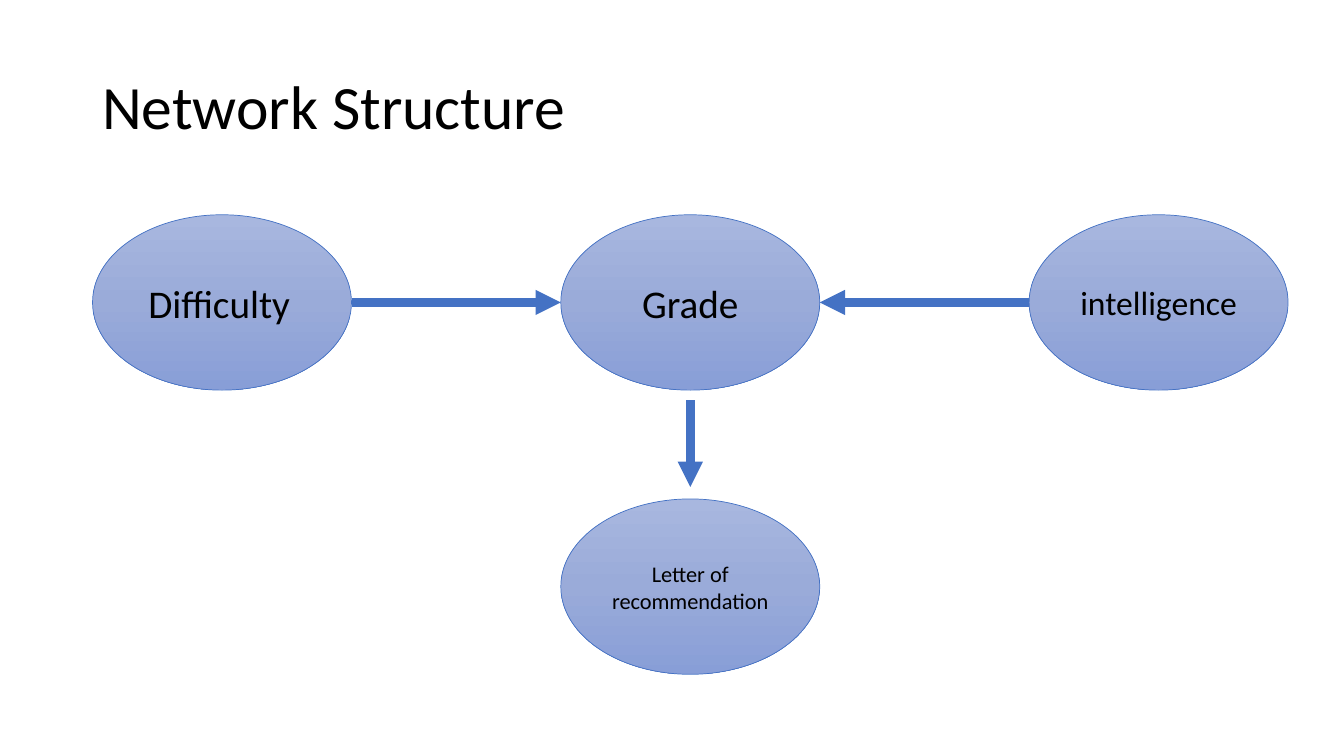
import copy

import pptx
import pptx.dml.color
import pptx.enum.shapes
import pptx.enum.text
import pptx.oxml
import pptx.oxml.ns
import pptx.util

Pt = pptx.util.Pt

FONT = "Calibri"
BLACK = "000000"
BLUE = "4472C4"
NODE_GRADIENT = ((0, "A8B7DF"), (0.5, "9AABD9"), (1, "889ED7"))

# Node grid: three columns, two rows
NODE_WIDTH, NODE_HEIGHT = 185, 125.3
LEFT, COLUMN_STEP = 66.1, 334.5
TOP, ROW_STEP = 153.4, 203
ARROW_GAP = 7.2


def color(hex_string):
    return pptx.dml.color.RGBColor.from_string(hex_string)


def set_font(font, size):
    font.name = FONT
    font.size = Pt(size)
    font.color.rgb = color(BLACK)


def add_title(slide, text):
    box = slide.shapes.add_textbox(Pt(66), Pt(26), Pt(828), Pt(104.4))
    frame = box.text_frame
    frame.word_wrap = True
    frame.vertical_anchor = pptx.enum.text.MSO_ANCHOR.MIDDLE
    paragraph = frame.paragraphs[0]
    paragraph.text = text
    paragraph.line_spacing = 0.9
    set_font(paragraph.font, 44)


def fill_gradient(shape):
    shape.fill.gradient()
    shape.fill.gradient_angle = 270  # counter-clockwise, so top to bottom
    stop_list = shape._element.spPr.find(".//" + pptx.oxml.ns.qn("a:gsLst"))
    stop_list.insert(1, copy.deepcopy(stop_list[0]))
    for stop, (position, hex_string) in zip(shape.fill.gradient_stops, NODE_GRADIENT):
        stop.position = position
        stop.color.rgb = color(hex_string)


def add_node(slide, column, row, *runs):
    """Add an ellipse labelled with (text, size) runs."""
    shape = slide.shapes.add_shape(
        pptx.enum.shapes.MSO_SHAPE.OVAL,
        Pt(LEFT + column * COLUMN_STEP), Pt(TOP + row * ROW_STEP),
        Pt(NODE_WIDTH), Pt(NODE_HEIGHT))
    shape.shadow.inherit = False
    fill_gradient(shape)
    shape.line.color.rgb = color(BLUE)
    shape.line.width = Pt(0.5)
    shape.text_frame.word_wrap = True
    shape.text_frame.vertical_anchor = pptx.enum.text.MSO_ANCHOR.MIDDLE
    paragraph = shape.text_frame.paragraphs[0]
    paragraph.alignment = pptx.enum.text.PP_ALIGN.CENTER
    for text, size in runs:
        run = paragraph.add_run()
        run.text = text
        set_font(run.font, size)


def add_arrow(slide, start, end):
    arrow = slide.shapes.add_connector(
        pptx.enum.shapes.MSO_CONNECTOR.STRAIGHT,
        *(Pt(length) for length in (*start, *end)))
    arrow.line.color.rgb = color(BLUE)
    arrow.line.width = Pt(6)
    head = pptx.oxml.ns.qn("a:tailEnd")
    line = arrow.line._get_or_add_ln()
    line.append(line.makeelement(head, {"type": "triangle"}))
    properties = arrow._element.spPr
    properties.append(properties.makeelement(pptx.oxml.ns.qn("a:effectLst"), {}))


def main():
    presentation = pptx.Presentation()
    presentation.slide_width = Pt(960)
    presentation.slide_height = Pt(540)
    slide = presentation.slides.add_slide(presentation.slide_layouts[6])

    add_title(slide, "Network Structure")

    # Network nodes
    add_node(slide, 0, 0, ("Difficulty", 28), (" ", 18))
    add_node(slide, 2, 0, ("intelligence", 24))
    add_node(slide, 1, 0, ("Grade", 28))
    add_node(slide, 1, 1, ("Letter of recommendation", 16))

    # Dependencies between nodes
    middle = TOP + NODE_HEIGHT / 2
    grade_left = LEFT + COLUMN_STEP
    grade_right = grade_left + NODE_WIDTH
    grade_center = grade_left + NODE_WIDTH / 2
    add_arrow(slide, (LEFT + NODE_WIDTH, middle), (grade_left, middle))
    add_arrow(slide, (LEFT + 2 * COLUMN_STEP, middle), (grade_right, middle))
    add_arrow(slide, (grade_center, TOP + NODE_HEIGHT + ARROW_GAP),
              (grade_center, TOP + ROW_STEP - ARROW_GAP - 1.4))

    presentation.save("out.pptx")


if __name__ == "__main__":
    main()
